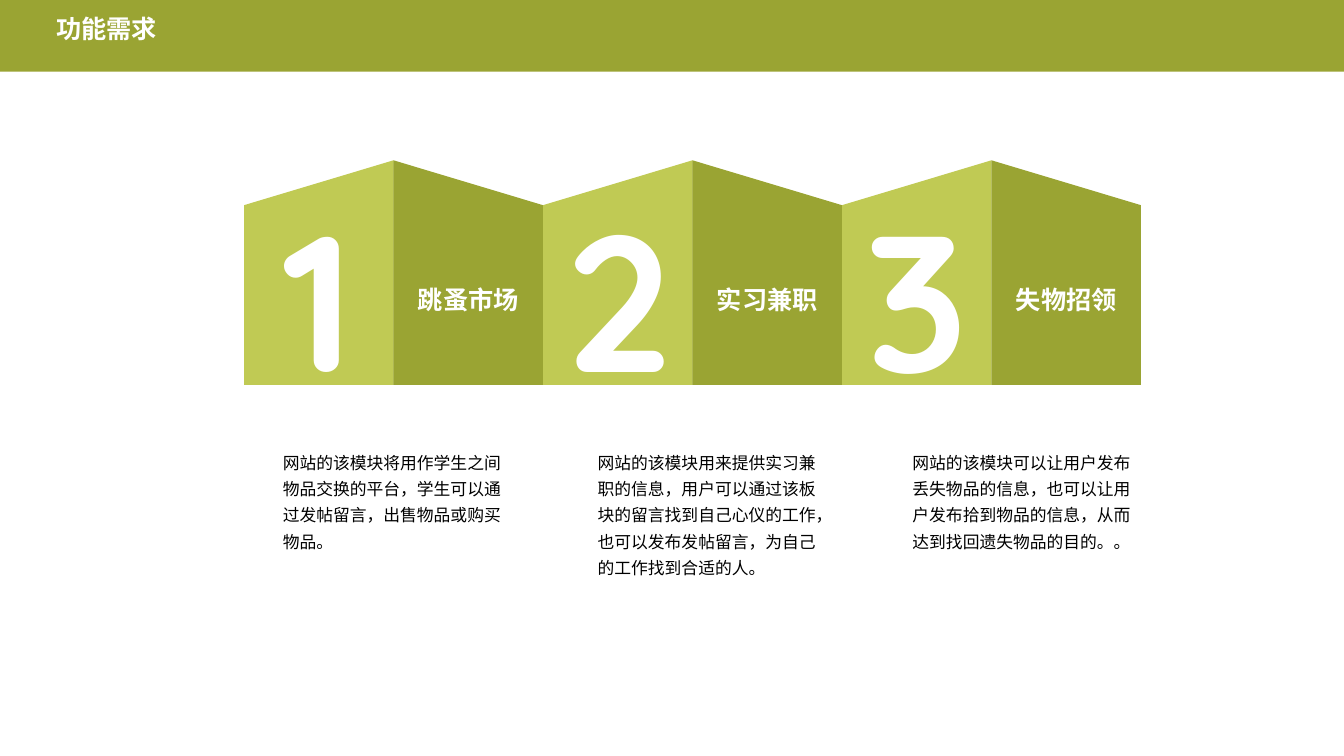
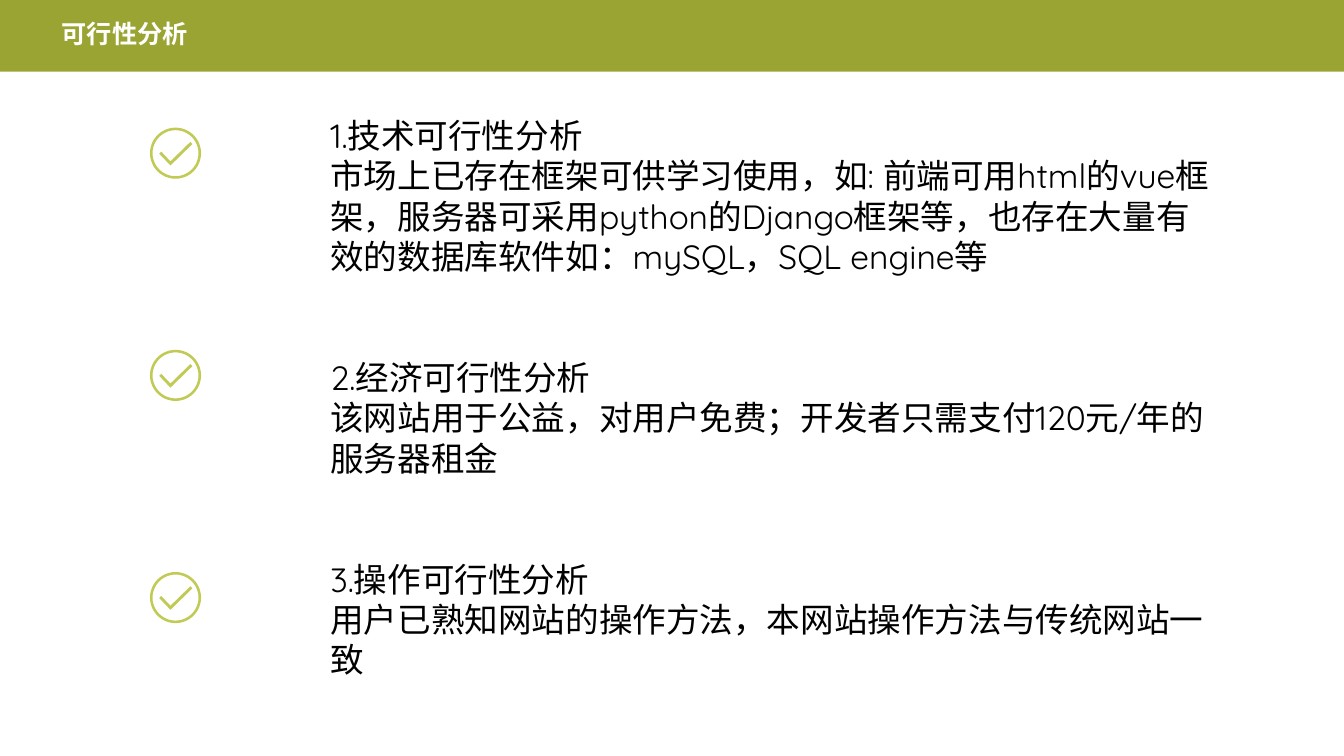
from lxml.etree import SubElement
from pptx import Presentation
from pptx.dml.color import RGBColor
from pptx.enum.shapes import MSO_SHAPE as Preset
from pptx.enum.text import MSO_ANCHOR as Anchor, PP_ALIGN as Align
from pptx.oxml.ns import qn
from pptx.util import Pt

COLORS = {"olive": "9AA433", "lime": "C0CA54", "white": "FFFFFF", "black": "000000"}
LATIN, HAN = "Quicksand", "Noto Sans CJK SC"
SLIDE_W, SLIDE_H = 960.48, 540
BAND_H = 51.12

MODULES = [
    ("跳蚤市场", "网站的该模块将用作学生之间物品交换的平台，学生可以通过发帖留言，出售物品或购买物品。"),
    ("实习兼职", "网站的该模块用来提供实习兼职的信息，用户可以通过该板块的留言找到自己心仪的工作，"
             "也可以发布发帖留言，为自己的工作找到合适的人。"),
    ("失物招领", "网站的该模块可以让用户发布丢失物品的信息，也可以让用户发布拾到物品的信息，"
             "从而达到找回遗失物品的目的。。"),
]
ANALYSES = [
    ("1.技术可行性分析", "市场上已存在框架可供学习使用，如: 前端可用html的vue框架，"
                  "服务器可采用python的Django框架等，也存在大量有效的数据库软件如：mySQL，SQL engine等"),
    ("2.经济可行性分析", "该网站用于公益，对用户免费；开发者只需支付120元/年的服务器租金"),
    ("3.操作可行性分析", "用户已熟知网站的操作方法，本网站操作方法与传统网站一致"),
]


def paint(shape, color):
    shape.shadow.inherit = False
    shape.fill.solid()
    shape.fill.fore_color.rgb = RGBColor.from_string(COLORS[color])
    shape.line.fill.background()


def style(para, size, color, face=LATIN, bold=False, align=Align.LEFT, spacing=1.0):
    para.alignment, para.line_spacing = align, spacing
    font = para.font
    font.size, font.bold, font.name = Pt(size), bold, face
    font.color.rgb = RGBColor.from_string(COLORS[color])
    # East Asian glyphs come from the Han typeface
    defaults = para._p.pPr.find(qn("a:defRPr"))
    SubElement(defaults, qn("a:ea")).set("typeface", HAN)


def text_frame(slide, x, y, w, h):
    frame = slide.shapes.add_textbox(Pt(x), Pt(y), Pt(w), Pt(h)).text_frame
    frame.word_wrap = True
    return frame


def titled_slide(deck, title, x, y):
    slide = deck.slides.add_slide(deck.slide_layouts[6])
    band = slide.shapes.add_shape(Preset.RECTANGLE, 0, 0, Pt(SLIDE_W), Pt(BAND_H))
    paint(band, "olive")
    heading = text_frame(slide, x, y, 301, 28.8).paragraphs[0]
    heading.text = title
    style(heading, 18, "white", bold=True, spacing=0.9)
    return slide


def panel(group, x, y, w, h, label, color, **text_style):
    face = group.shapes.add_shape(Preset.FLOWCHART_MANUAL_INPUT, Pt(x), Pt(y), Pt(w), Pt(h))
    paint(face, color)
    frame = face.text_frame
    frame.word_wrap, frame.vertical_anchor = True, Anchor.MIDDLE
    frame.paragraphs[0].text = label
    style(frame.paragraphs[0], color="white", bold=True, align=Align.CENTER, **text_style)
    return face


def folded_banner(slide, x, y, w, h):
    """Row of folds: a numbered left face and a mirrored, named right face."""
    group = slide.shapes.add_group_shape()
    face_w = w / (2 * len(MODULES))
    for i, (name, _) in enumerate(MODULES):
        left = x + 2 * i * face_w
        panel(group, left, y, face_w, h, str(i + 1), "lime", size=138)
        mirrored = panel(group, left + face_w, y, face_w, h, name, "olive",
                         size=18, face=HAN, spacing=1.3)
        mirrored._element.spPr.xfrm.set("flipH", "1")


def module_texts(slide, x, y, w, h, pitch):
    for i, (_, description) in enumerate(MODULES):
        para = text_frame(slide, x + i * pitch, y, w, h).paragraphs[0]
        para.text = description
        style(para, 12, "black", face=HAN, spacing=1.3)


def check_icon(slide, x, y, size):
    group = slide.shapes.add_group_shape()
    ring = group.shapes.add_shape(Preset.DONUT, Pt(x), Pt(y), Pt(size), Pt(size))
    ring.adjustments[0] = 0.05
    # Tick outline as fractions of the ring
    tick = [(0.18, 0.51), (0.22, 0.47), (0.4, 0.66), (0.79, 0.28), (0.83, 0.32), (0.4, 0.74)]
    start, *rest = [(Pt(x + u * size), Pt(y + v * size)) for u, v in tick]
    outline = group.shapes.build_freeform(*start)
    outline.add_line_segments(rest, close=True)
    for part in (ring, outline.convert_to_shape()):
        paint(part, "lime")


def analysis_list(slide, x, y, w, h):
    frame = text_frame(slide, x, y, w, h)
    for i, (heading, detail) in enumerate(ANALYSES):
        head = frame.add_paragraph() if i else frame.paragraphs[0]
        if i:
            head.space_before = Pt(57.6)
        for para, words in ((head, heading), (frame.add_paragraph(), detail)):
            para.text = words
            style(para, 24, "black")


def main():
    deck = Presentation()
    deck.slide_width, deck.slide_height = Pt(SLIDE_W), Pt(SLIDE_H)

    # Functional requirements
    needs = titled_slide(deck, "功能需求", 33, 8.6)
    folded_banner(needs, 174.4, 114.5, 641, 160.4)
    module_texts(needs, 195, 315.6, 181.4, 100, pitch=225)

    # Feasibility analysis
    feasibility = titled_slide(deck, "可行性分析", 37, 12)
    analysis_list(feasibility, 229, 78.6, 649.4, 410.4)
    for i in range(len(ANALYSES)):
        check_icon(feasibility, 107.2, 91.2 + i * 158.7, 36.5)

    deck.save("out.pptx")


if __name__ == "__main__":
    main()
